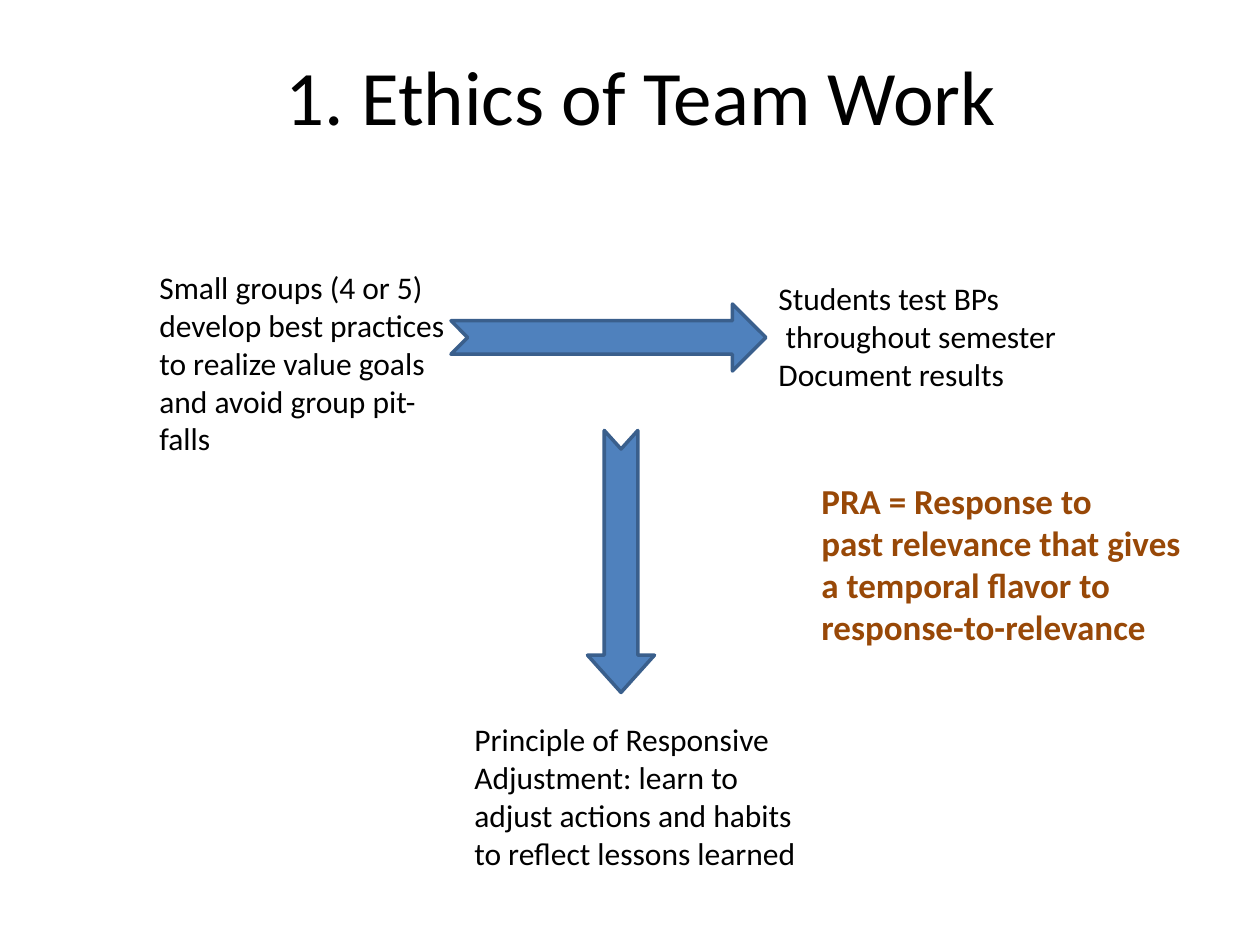
import pptx
import pptx.util
import pptx.dml.color
import pptx.enum.shapes
import pptx.enum.text

PX = 914400 / 126
BLACK = pptx.dml.color.RGBColor(0x00, 0x00, 0x00)
BROWN = pptx.dml.color.RGBColor(0x98, 0x48, 0x07)
BLUE = pptx.dml.color.RGBColor(0x4F, 0x81, 0xBD)
DARK_BLUE = pptx.dml.color.RGBColor(0x3A, 0x5F, 0x8C)

BODY = {"size": pptx.util.Pt(18), "bold": False}
NOTE = {"size": pptx.util.Pt(20), "bold": True}
HEADING = {"size": pptx.util.Pt(44), "bold": False}

GROUPS = [
    "Small groups (4 or 5)",
    "develop best practices",
    "to realize value goals",
    "and avoid group pit-",
    "falls",
]
TESTS = ["Students test BPs", " throughout semester", "Document results"]
PRINCIPLE = [
    "Principle of Responsive",
    "Adjustment: learn to",
    "adjust actions and habits",
    "to reflect lessons learned",
]
PRA = [
    "PRA = Response to",
    "past relevance that gives",
    "a temporal flavor to",
    "response-to-relevance",
]


def px(*values):
    return [pptx.util.Emu(round(v * PX)) for v in values]


def write_lines(tf, lines, font, color):
    frame = {
        "word_wrap": False,
        "auto_size": pptx.enum.text.MSO_AUTO_SIZE.SHAPE_TO_FIT_TEXT,
        "vertical_anchor": pptx.enum.text.MSO_ANCHOR.TOP,
    }
    for name, value in frame.items():
        setattr(tf, name, value)
    for i, line in enumerate(lines):
        p = tf.paragraphs[0] if i == 0 else tf.add_paragraph()
        p.alignment = pptx.enum.text.PP_ALIGN.LEFT
        r = p.add_run()
        r.text = line
        r.font.name = "Calibri"
        r.font.color.rgb = color
        for name, value in font.items():
            setattr(r.font, name, value)


def add_title(s, box, text):
    sp = s.shapes.title
    for name, value in zip(("left", "top", "width", "height"), px(*box)):
        setattr(sp, name, value)
    write_lines(sp.text_frame, [text], HEADING, BLACK)


def add_text(s, box, lines, font=BODY, color=BLACK):
    sp = s.shapes.add_textbox(*px(*box))
    write_lines(sp.text_frame, lines, font, color)


def add_arrow(s, box, rotation=0, notch=0.5):
    kind = pptx.enum.shapes.MSO_SHAPE.NOTCHED_RIGHT_ARROW
    sp = s.shapes.add_shape(kind, *px(*box))
    sp.rotation = rotation
    sp.adjustments[1] = notch
    sp.shadow.inherit = False
    sp.fill.solid()
    sp.fill.fore_color.rgb = BLUE
    sp.line.color.rgb = DARK_BLUE
    sp.line.width = pptx.util.Pt(2)


def main():
    prs = pptx.Presentation()
    prs.slide_width = pptx.util.Inches(10)
    prs.slide_height = pptx.util.Inches(7.5)
    s = prs.slides.add_slide(prs.slide_layouts[5])
    add_title(s, (273, 42, 743, 106), "1. Ethics of Team Work")
    add_text(s, (147, 262, 318, 204), GROUPS)
    add_text(s, (766, 273, 306, 127), TESTS)
    add_text(s, (462, 714, 350, 165), PRINCIPLE)
    add_arrow(s, (451, 304, 315, 67))
    add_arrow(s, (490, 528, 262, 67), rotation=90, notch=0.556)
    add_text(s, (809, 473, 396, 183), PRA, NOTE, BROWN)
    prs.save("out.pptx")


if __name__ == "__main__":
    main()
